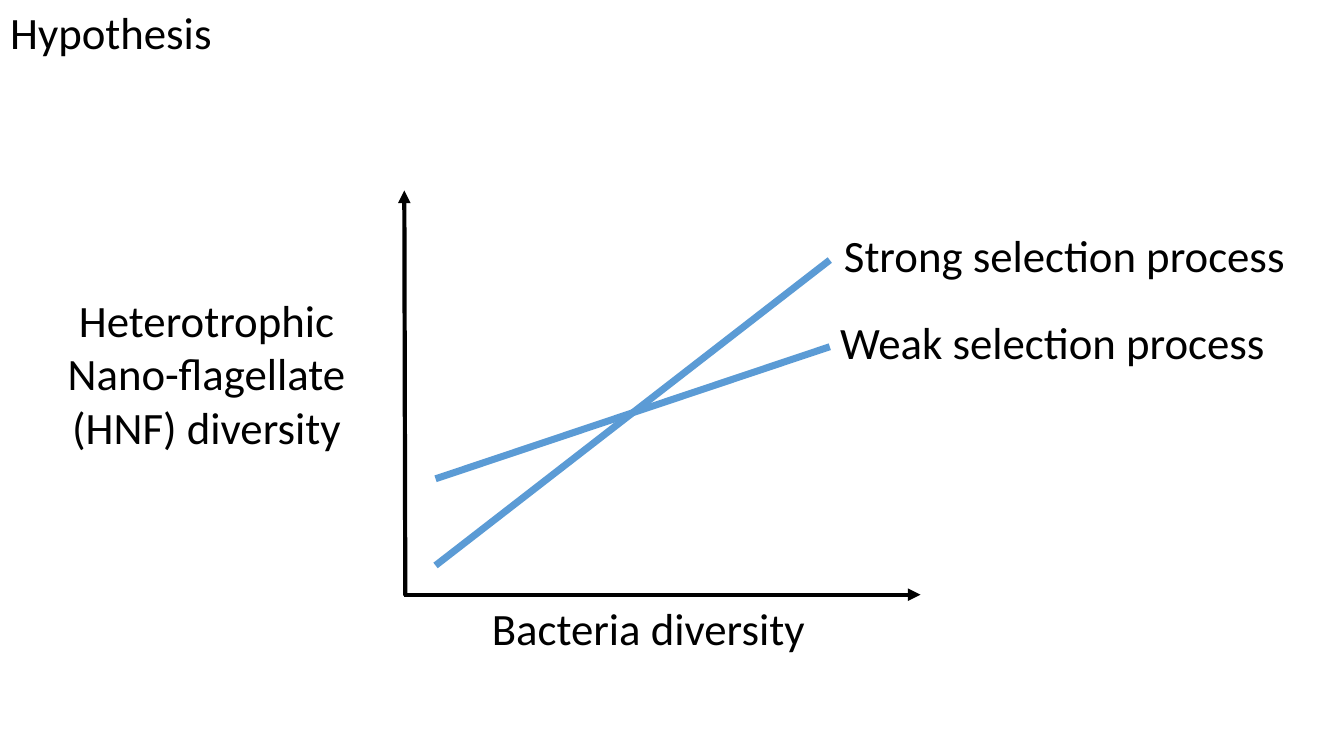
from lxml import etree
from pptx import Presentation
from pptx.dml.color import RGBColor
from pptx.enum.shapes import MSO_CONNECTOR
from pptx.enum.text import MSO_ANCHOR, MSO_AUTO_SIZE, PP_ALIGN
from pptx.oxml.ns import qn
from pptx.util import Pt

PX = 9144  # 100 px to the inch
BLACK = RGBColor(0x00, 0x00, 0x00)
BLUE = RGBColor(0x5B, 0x9B, 0xD5)
STRAIGHT = MSO_CONNECTOR.STRAIGHT
TOP = MSO_ANCHOR.TOP
NO_AUTOFIT = MSO_AUTO_SIZE.NONE
LEFT, CENTER = PP_ALIGN.LEFT, PP_ALIGN.CENTER


def write_text(shape, box, lines, alignment):
    shape.left, shape.top, shape.width, shape.height = (n * PX for n in box)
    frame = shape.text_frame
    frame.auto_size = NO_AUTOFIT
    frame.word_wrap = True
    frame.vertical_anchor = TOP
    frame.text = "\n".join(lines)
    for paragraph in frame.paragraphs:
        paragraph.alignment = alignment
        paragraph.font.name = "Calibri"
        paragraph.font.size = Pt(32)
        paragraph.font.color.rgb = BLACK


def add_line(start, end, color, width):
    line = slide.shapes.add_connector(STRAIGHT, *(n * PX for n in start + end))
    line.line.color.rgb = color
    line.line.width = Pt(width)
    etree.SubElement(line._element.spPr, qn("a:effectLst"))
    return line


presentation = Presentation()
presentation.slide_width = 1333 * PX
presentation.slide_height = 750 * PX
slide = presentation.slides.add_slide(presentation.slide_layouts[5])

# Title
write_text(slide.shapes.title, (0, 0, 570, 64), ["Hypothesis"], LEFT)

# Axes with arrowheads
for start, end in [((401, 590), (913, 590)), ((402, 591), (401, 189))]:
    axis = add_line(start, end, BLACK, 3)
    etree.SubElement(axis.line._get_or_add_ln(), qn("a:tailEnd"), type="triangle")

# Selection lines: weak, strong
for start_y, end_y in [(475, 344), (561, 258)]:
    add_line((432, start_y), (823, end_y), BLUE, 5)

# Axis and line labels
labels = [
    ((478, 591, 346, 64), ["Bacteria diversity"], LEFT),
    ((32, 285, 346, 172),
     ["Heterotrophic Nano-flagellate", "(HNF) diversity"], CENTER),
    ((823, 307, 442, 64), ["Weak selection process"], CENTER),
    ((823, 221, 466, 64), ["Strong selection process"], CENTER),
]
for box, lines, alignment in labels:
    write_text(slide.shapes.add_textbox(0, 0, 0, 0), box, lines, alignment)

presentation.save("out.pptx")
